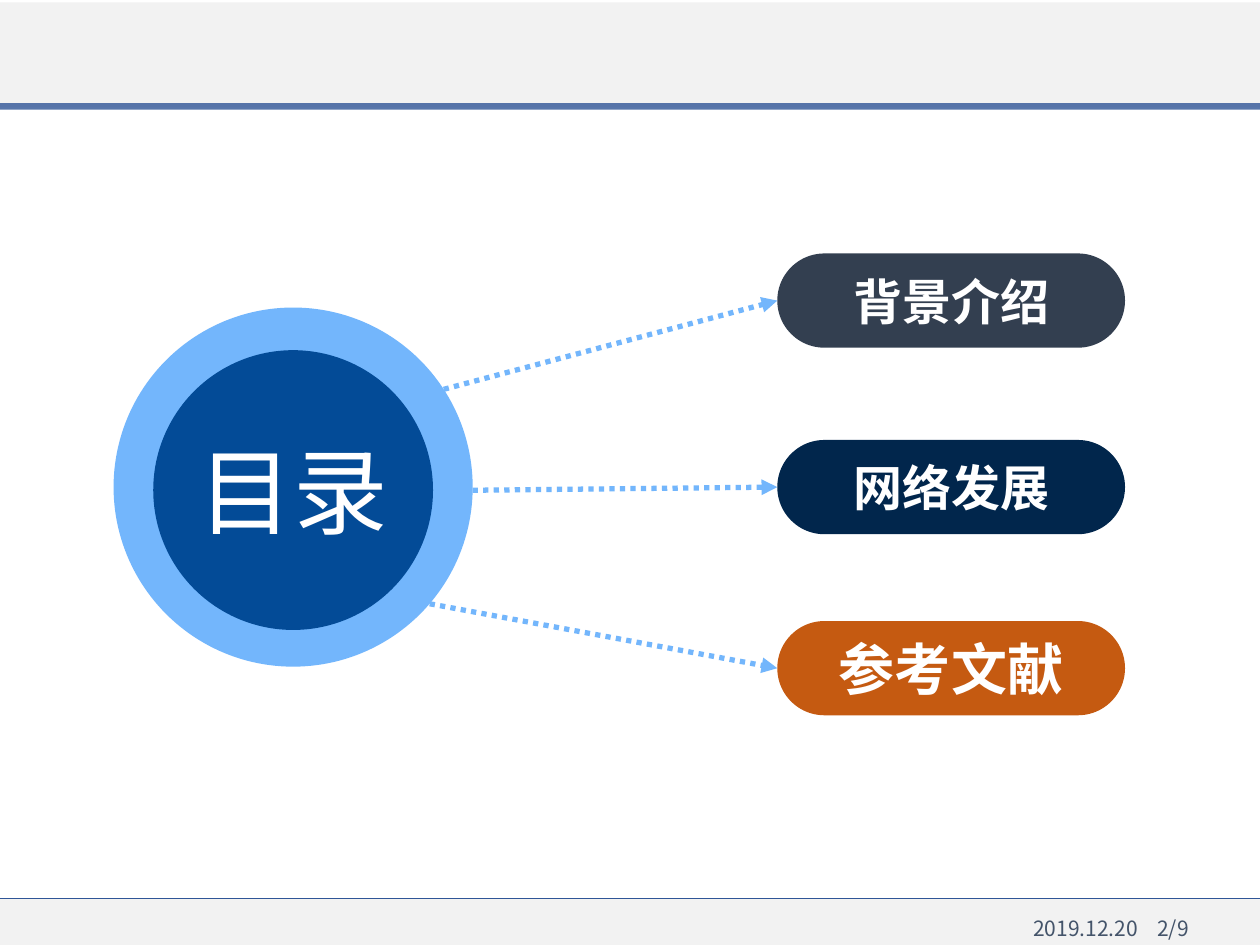
from math import cos, radians, sin

from pptx import Presentation
from pptx.dml.color import RGBColor
from pptx.enum.dml import MSO_LINE
from pptx.enum.shapes import MSO_CONNECTOR, MSO_SHAPE
from pptx.enum.text import MSO_ANCHOR, PP_ALIGN
from pptx.oxml.ns import qn
from pptx.util import Cm, Pt
from lxml import etree

RECT, OVAL, PILL = MSO_SHAPE.RECTANGLE, MSO_SHAPE.OVAL, MSO_SHAPE.ROUNDED_RECTANGLE
STRAIGHT = MSO_CONNECTOR.STRAIGHT
DOTTED = MSO_LINE.ROUND_DOT
CENTER, MIDDLE = PP_ALIGN.CENTER, MSO_ANCHOR.MIDDLE

COLORS = {
    "band": "F2F2F2", "rule": "2F5597", "footer": "44546A", "white": "FFFFFF",
    "ring": "73B6FC", "hub": "034B97",
    "slate": "333F50", "navy": "01264C", "orange": "C55A11",
}
SLIDE_W, SLIDE_H = 25.4, 19.05

# label, fill, text size, top of the pill, angle at which its arrow leaves the ring
TOPICS = [
    ("背景介绍", "slate", 28, 5.11, -33),
    ("网络发展", "navy", 28, 8.87, 1),
    ("参考文献", "orange", 32, 12.52, 40.5),
]


def rgb(name):
    return RGBColor.from_string(COLORS[name])


def add_run(p, text, size, color, font="Arial", bold=False):
    r = p.add_run()
    r.text = text
    r.font.name, r.font.size, r.font.bold = font, Pt(size), bold
    r.font.color.rgb = rgb(color)


def clear_margins(tf):
    tf.margin_left = tf.margin_right = tf.margin_top = tf.margin_bottom = 0


def add_box(s, kind, x, y, w, h, fill):
    sp = s.shapes.add_shape(kind, Cm(x), Cm(y), Cm(w), Cm(h))
    sp.shadow.inherit = False
    sp.fill.solid()
    sp.fill.fore_color.rgb = rgb(fill)
    sp.line.fill.background()
    return sp


def add_label(sp, text, size, bold=False):
    tf = sp.text_frame
    clear_margins(tf)
    tf.word_wrap = True
    tf.vertical_anchor = MIDDLE
    p = tf.paragraphs[0]
    p.alignment = CENTER
    add_run(p, text, size, "white", bold=bold)


def add_line(s, x1, y1, x2, y2, color, width):
    cxn = s.shapes.add_connector(STRAIGHT, Cm(x1), Cm(y1), Cm(x2), Cm(y2))
    cxn.line.color.rgb = rgb(color)
    cxn.line.width = Pt(width)
    etree.SubElement(cxn._element.spPr, qn("a:effectLst"))
    return cxn


def add_arrow(s, x1, y1, x2, y2):
    cxn = add_line(s, x1, y1, x2, y2, "ring", 3)
    cxn.line.dash_style = DOTTED
    etree.SubElement(cxn.line._get_or_add_ln(), qn("a:tailEnd"), type="triangle")


def add_header(s, x, y, w, h):
    add_box(s, RECT, x, y, w, h, "band")
    rule = add_box(s, RECT, x, y + h - 0.08, w, 0.13, "rule")
    color = rule._element.spPr.find(qn("a:solidFill"))[0]
    etree.SubElement(color, qn("a:alpha"), val="80000")


def add_footer(s, x, y, w, h):
    add_box(s, RECT, x, y, w, h, "band")
    add_line(s, x, y, x + w, y, "rule", 0.5)
    box = s.shapes.add_textbox(Cm(x + 20.83), Cm(y + 0.23), Cm(4), Cm(0.74))
    tf = box.text_frame
    clear_margins(tf)
    tf.word_wrap = True
    tf.vertical_anchor = MIDDLE
    p = tf.paragraphs[0]
    tabs = etree.SubElement(p._p.get_or_add_pPr(), qn("a:tabLst"))
    etree.SubElement(tabs, qn("a:tab"), pos=str(Cm(2.5)), algn="l")
    add_run(p, "2019.12.20\t2/9", 12, "footer", "Noto Sans CJK SC")


def add_hub(s, x, y, size):
    add_box(s, OVAL, x, y, size, size, "ring")
    inner = 5.64
    inset = (size - inner) / 2
    disc = add_box(s, OVAL, x + inset, y + inset + 0.06, inner, inner, "hub")
    add_label(disc, "目录", 54)


def add_topic(s, x, y, w, h, text, fill, size):
    pill = add_box(s, PILL, x, y, w, h, fill)
    pill.adjustments[0] = 0.5
    add_label(pill, text, size, bold=True)


def add_agenda(s, x, y, w):
    """Hub at the left edge of the box, with an arrow to each topic at the right."""
    hub, pill_w, pill_h = 7.24, 7.01, 1.9
    radius = hub / 2
    cx, cy = x + radius, y + radius
    pill_x = x + w - pill_w
    for text, fill, size, top, angle in TOPICS:
        a = radians(angle)
        add_arrow(s, cx + radius * cos(a), cy + radius * sin(a), pill_x, top + pill_h / 2)
        add_topic(s, pill_x, top, pill_w, pill_h, text, fill, size)
    add_hub(s, x, y, hub)


def main():
    prs = Presentation()
    prs.slide_width, prs.slide_height = Cm(SLIDE_W), Cm(SLIDE_H)
    s = prs.slides.add_slide(prs.slide_layouts[6])
    add_header(s, 0, 0.05, SLIDE_W, 2.11)
    add_footer(s, 0, 18.11, SLIDE_W, SLIDE_H - 18.11)
    add_agenda(s, 2.29, 6.2, 20.39)
    prs.save("out.pptx")


if __name__ == "__main__":
    main()
